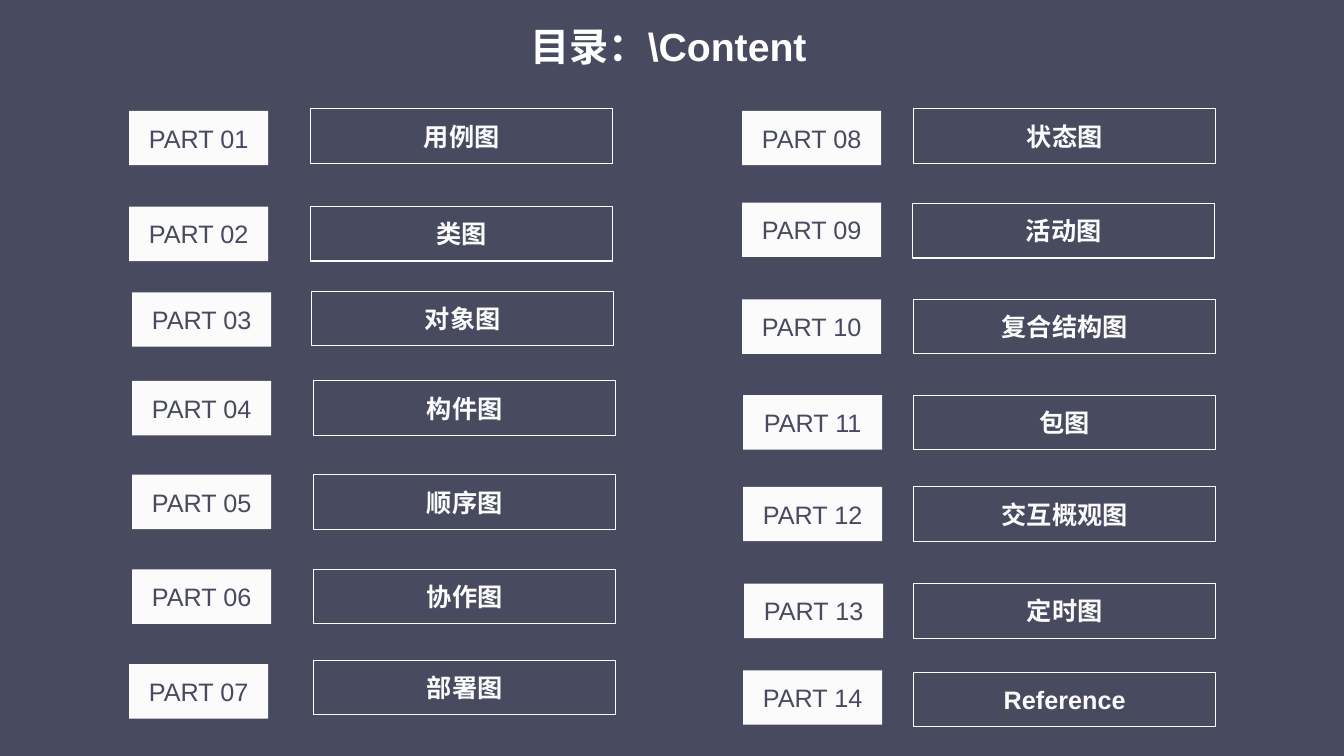
from pptx import Presentation
from pptx.dml.color import RGBColor as Rgb
from pptx.enum.shapes import MSO_SHAPE as Kind
from pptx.enum.text import MSO_ANCHOR as Anchor, PP_ALIGN as Align
from pptx.util import Inches, Pt

HUES = {"slate": "484A5F", "light": "FBFBFB", "white": "FFFFFF"}
COLS, ROWS = 1333, 750
CELL = Inches(13.33) // COLS
HIGH, TAG, LABEL = 54, 138, 300

# text, then tag column and row, then label column and row, within the half
LEFT = [
    ("用例图", 0, 110, 180, 108),
    ("类图", 0, 205, 180, 205),
    ("对象图", 3, 290, 181, 289),
    ("构件图", 3, 378, 183, 378),
    ("顺序图", 3, 471, 183, 471),
    ("协作图", 3, 565, 183, 565),
    ("部署图", 0, 659, 183, 655),
]
RIGHT = [
    ("状态图", 0, 110, 170, 108),
    ("活动图", 0, 201, 169, 202),
    ("复合结构图", 0, 297, 170, 297),
    ("包图", 1, 392, 170, 392),
    ("交互概观图", 1, 483, 170, 483),
    ("定时图", 2, 579, 170, 579),
    ("Reference", 1, 665, 170, 667),
]


def hue(name):
    return Rgb.from_string(HUES[name])


def grid(*cells):
    return [CELL * cell for cell in cells]


def style(para, size, color, bold, align):
    para.alignment = align
    font = para.font
    font.name, font.size, font.bold = "Arial", Pt(size), bold
    font.color.rgb = hue(color)


def add_box(slide, text, box, solid):
    shape = slide.shapes.add_shape(Kind.RECTANGLE, *grid(*box))
    shape.shadow.inherit = False
    if solid:
        shape.fill.solid()
        shape.fill.fore_color.rgb = hue("light")
        shape.line.fill.background()
    else:
        shape.fill.background()
        shape.line.color.rgb = hue("light")
        shape.line.width = Pt(0.75)
    frame = shape.text_frame
    frame.text = text
    frame.vertical_anchor = Anchor.MIDDLE
    ink = "slate" if solid else "light"
    style(frame.paragraphs[0], 18, ink, not solid, Align.CENTER)


def add_title(slide, text, box):
    title = slide.shapes.title
    title.left, title.top, title.width, title.height = grid(*box)
    frame = title.text_frame
    frame.text = text
    frame.vertical_anchor = Anchor.TOP
    para = frame.paragraphs[0]
    para.line_spacing = 1.0
    para.space_before = Pt(0)
    style(para, 28, "white", True, Align.LEFT)


def add_half(slide, items, first, x, y):
    for part, (text, tag_x, tag_y, label_x, label_y) in enumerate(items, first):
        add_box(slide, text, (x + label_x, y + label_y, LABEL, HIGH), False)
        add_box(slide, f"PART {part:02}", (x + tag_x, y + tag_y, TAG, HIGH), True)


def main():
    deck = Presentation()
    deck.slide_width, deck.slide_height = grid(COLS, ROWS)
    slide = deck.slides.add_slide(deck.slide_layouts[5])
    back = slide.background.fill
    back.solid()
    back.fore_color.rgb = hue("slate")
    add_title(slide, "目录：\\Content", (516, 17, 472, 57))
    add_half(slide, LEFT, 1, 128, 0)
    add_half(slide, RIGHT, 1 + len(LEFT), 736, 0)
    deck.save("out.pptx")


if __name__ == "__main__":
    main()
